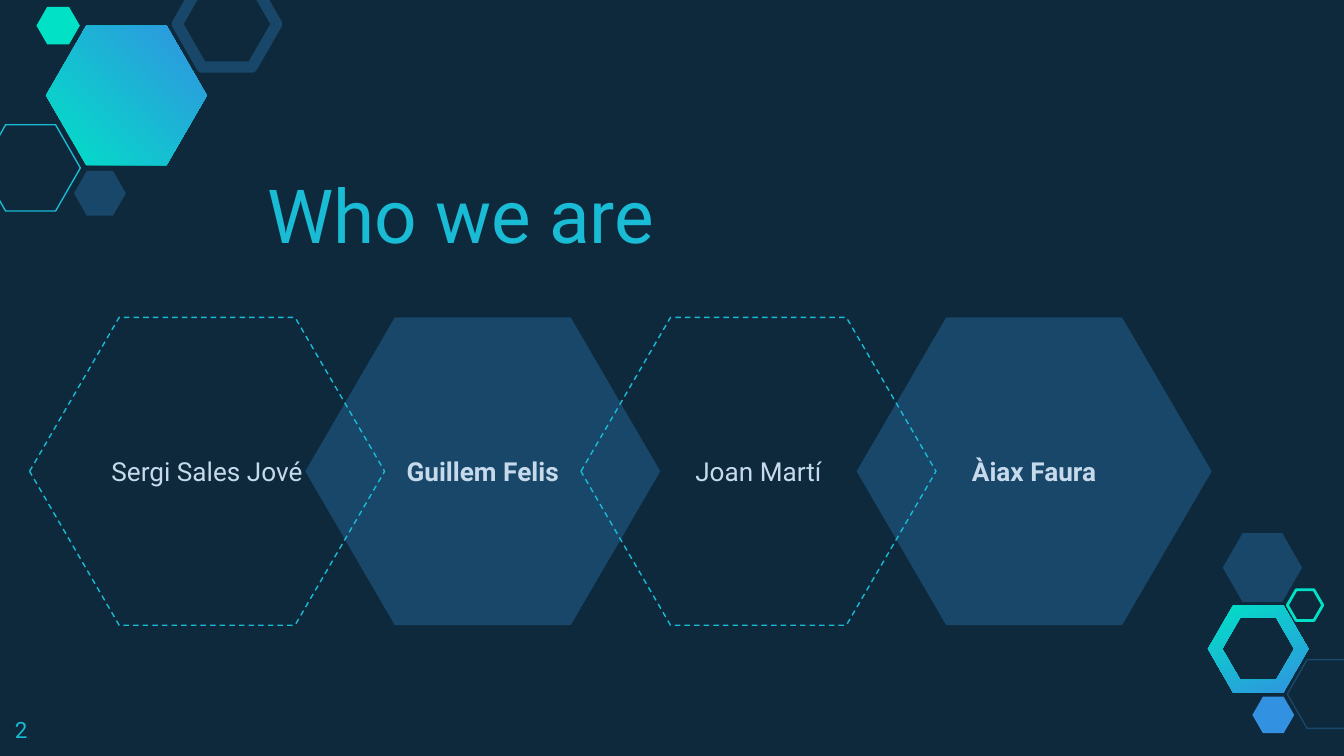
from pptx import Presentation
from pptx.dml.color import RGBColor
from pptx.enum.dml import MSO_LINE
from pptx.enum.shapes import MSO_SHAPE
from pptx.enum.text import MSO_ANCHOR, PP_ALIGN
from pptx.util import Cm, Pt

NIGHT, NAVY, CYAN = "0E293C", "184769", "19BBD5"
MINT, BLUE, PALE = "00E1C6", "3292E1", "C6DAEC"

MEMBERS = ["Sergi Sales Jové", "Guillem Felis", "Joan Martí", "Àiax Faura"]
MEMBER_LEFT, MEMBER_TOP, MEMBER_PITCH = 0.56, 6, 5.21
MEMBER_WIDTH, MEMBER_HEIGHT = 6.71, 5.82

DECORATIONS = [
    ((-0.36, 2.36, 1.88, 1.63), {"line": CYAN}),
    ((1.4, 3.23, 0.98, 0.85), {"fill": NAVY}),
    ((3.35, -0.36, 1.88, 1.63), {"line": NAVY, "weight": 6}),
    ((0.69, 0.13, 0.82, 0.71), {"fill": MINT}),
    ((24.33, 12.47, 1.5, 1.3), {"line": NAVY}),
    ((23.67, 13.17, 0.79, 0.69), {"fill": BLUE}),
    ((23.11, 10.08, 1.5, 1.3), {"fill": NAVY}),
    ((24.33, 11.15, 0.67, 0.58), {"line": MINT, "weight": 1.5}),
]


def color(hex_code):
    return RGBColor.from_string(hex_code)


def apply_format(target, values):
    for name, value in values.items():
        setattr(target, name, value)


def hexagon_corners(left, top, width, height):
    right, bottom, shoulder = left + width, top + height, width / 4
    corners = [
        (left, top + height / 2), (left + shoulder, top), (right - shoulder, top),
        (right, top + height / 2), (right - shoulder, bottom), (left + shoulder, bottom),
    ]
    return [(Cm(x), Cm(y)) for x, y in corners]


def add_gradient_hexagon(slide, box, angle, hole=None):
    outer = hexagon_corners(*box)
    builder = slide.shapes.build_freeform(*outer[0])
    builder.add_line_segments(outer[1:], close=True)
    if hole:
        inner = hexagon_corners(*hole)[::-1]
        builder.move_to(*inner[0])
        builder.add_line_segments(inner[1:], close=True)
    hexagon = builder.convert_to_shape()
    hexagon.shadow.inherit = False
    hexagon.line.fill.background()
    hexagon.fill.gradient()
    hexagon.fill.gradient_angle = angle
    for stop, shade in zip(hexagon.fill.gradient_stops, (MINT, BLUE)):
        stop.color.rgb = color(shade)


def add_hexagon(slide, box, fill=None, line=None, weight=0.75, dash=None, bend=0.287):
    hexagon = slide.shapes.add_shape(MSO_SHAPE.HEXAGON, *map(Cm, box))
    hexagon.shadow.inherit = False
    hexagon.adjustments[0] = bend
    if fill:
        hexagon.fill.solid()
        hexagon.fill.fore_color.rgb = color(fill)
    else:
        hexagon.fill.background()
    if line:
        hexagon.line.color.rgb = color(line)
        apply_format(hexagon.line, {"width": Pt(weight), "dash_style": dash})
    else:
        hexagon.line.fill.background()
    return hexagon


def write(shape, text, size, shade, bold=False, align=PP_ALIGN.LEFT, anchor=MSO_ANCHOR.TOP):
    frame = shape.text_frame
    margins = ("margin_left", "margin_top", "margin_right", "margin_bottom")
    apply_format(frame, {"word_wrap": True, "vertical_anchor": anchor,
                         **dict.fromkeys(margins, Cm(0.25))})
    paragraph = frame.paragraphs[0]
    paragraph.alignment = align
    run = paragraph.add_run()
    run.text = text
    apply_format(run.font, {"name": "Roboto", "size": Pt(size), "bold": bold})
    run.font.color.rgb = color(shade)


def add_text(slide, box, text, size, **layout):
    write(slide.shapes.add_textbox(*map(Cm, box)), text, size, CYAN, **layout)


def add_member(slide, position, name):
    box = (MEMBER_LEFT + position * MEMBER_PITCH, MEMBER_TOP, MEMBER_WIDTH, MEMBER_HEIGHT)
    filled = position % 2 == 1
    look = {"fill": NAVY} if filled else {"line": CYAN, "dash": MSO_LINE.DASH}
    hexagon = add_hexagon(slide, box, bend=0.291, **look)
    write(hexagon, name, 14, PALE, bold=filled,
          align=PP_ALIGN.CENTER, anchor=MSO_ANCHOR.MIDDLE)


def main():
    deck = Presentation()
    apply_format(deck, {"slide_width": Cm(25.4), "slide_height": Cm(14.29)})
    slide = deck.slides.add_slide(deck.slide_layouts[6])
    slide.background.fill.solid()
    slide.background.fill.fore_color.rgb = color(NIGHT)

    add_gradient_hexagon(slide, (22.83, 11.44, 1.9, 1.65), 296, hole=(23.1, 11.68, 1.36, 1.17))
    add_gradient_hexagon(slide, (0.87, 0.49, 3.04, 2.63), 45)
    for box, look in DECORATIONS:
        add_hexagon(slide, box, **look)

    add_text(slide, (4.8, 3.33, 13.74, 1.8), "Who we are", 40, anchor=MSO_ANCHOR.BOTTOM)
    for position in (1, 3, 0, 2):
        add_member(slide, position, MEMBERS[position])
    add_text(slide, (0.03, 13.28, 1.52, 0.99), "2", 12)
    deck.save("out.pptx")


if __name__ == "__main__":
    main()
